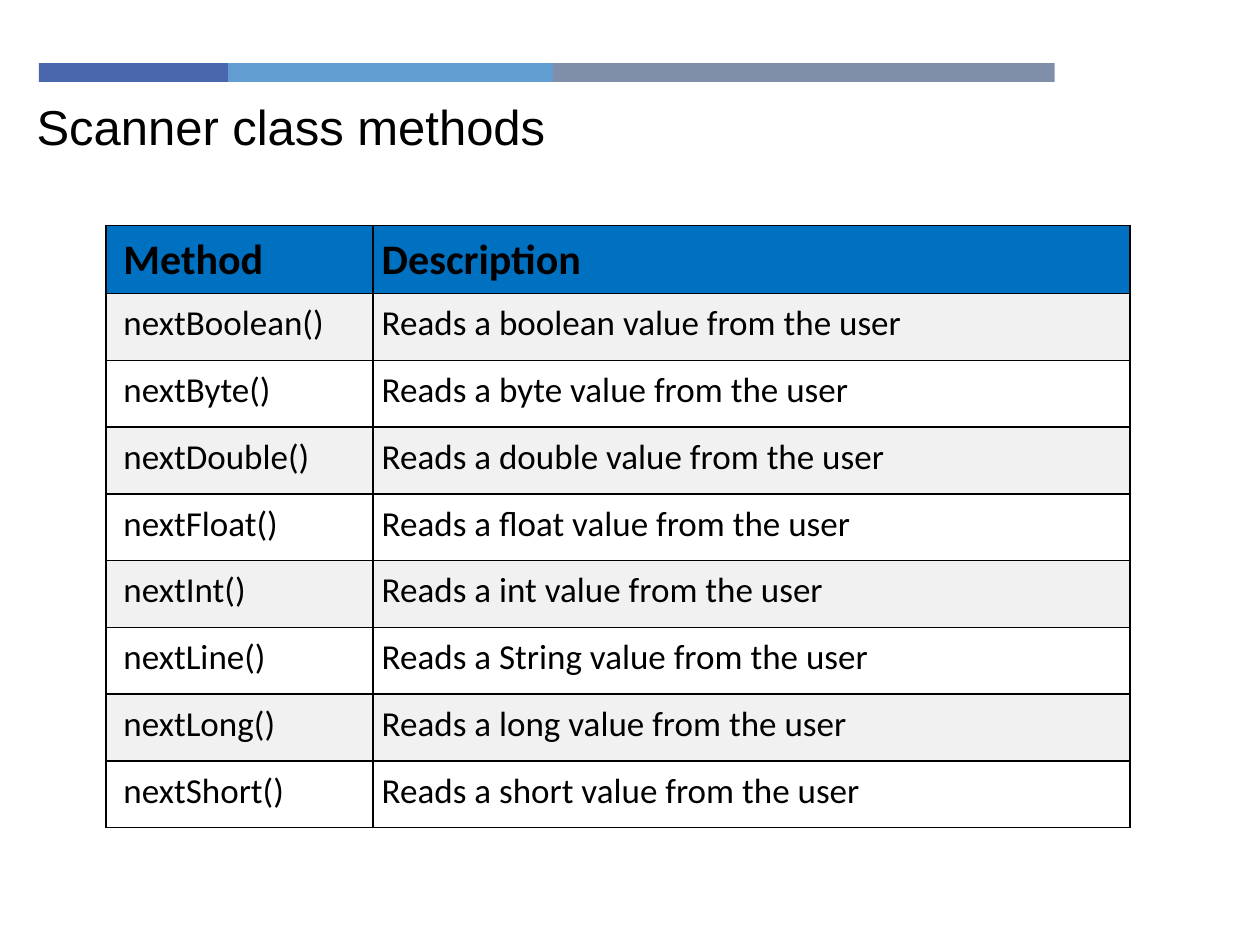
from lxml import etree
from pptx import Presentation
from pptx import util as u
from pptx.dml.color import RGBColor
from pptx.enum import shapes, text
from pptx.oxml import ns

COLORS = {
    "indigo": "4A66AC",
    "sky": "629DD1",
    "slate": "7F8FA9",
    "header": "0070C0",
    "band": "F1F1F1",
    "white": "FFFFFF",
    "black": "000000",
}
TYPES = ["boolean", "byte", "double", "float", "int", "String", "long", "short"]
METHOD_NAMES = {"String": "Line"}


def rgb(name):
    return RGBColor.from_string(COLORS[name])


def add_run(p, content, size, font, bold=False):
    r = p.add_run()
    r.text = content
    r.font.size = u.Pt(size)
    r.font.name = font
    r.font.bold = bold
    r.font.color.rgb = rgb("black")


def add_accent_bar(s, left, top, height):
    for width, color in [(1.5, "indigo"), (2.58, "sky"), (3.98, "slate")]:
        sp = s.shapes.add_shape(
            shapes.MSO_SHAPE.RECTANGLE,
            u.Inches(left), u.Inches(top), u.Inches(width), u.Inches(height))
        sp.shadow.inherit = False
        sp.fill.solid()
        sp.fill.fore_color.rgb = rgb(color)
        sp.line.fill.background()
        left += width


def add_title(s, left, top, width, height, content):
    sp = s.shapes.add_textbox(
        u.Inches(left), u.Inches(top), u.Inches(width), u.Inches(height))
    tf = sp.text_frame
    tf.word_wrap = True
    tf.auto_size = text.MSO_AUTO_SIZE.SHAPE_TO_FIT_TEXT
    tf.margin_left = tf.margin_top = tf.margin_right = tf.margin_bottom = 0
    add_run(tf.paragraphs[0], content, 28, "Arial")


def add_borders(cell, color, points):
    tc_pr = cell._tc.get_or_add_tcPr()
    for i, side in enumerate(["lnL", "lnR", "lnT", "lnB"]):
        ln = etree.Element(ns.qn(f"a:{side}"), w=str(u.Pt(points)))
        fill = etree.SubElement(ln, ns.qn("a:solidFill"))
        etree.SubElement(fill, ns.qn("a:srgbClr"), val=COLORS[color])
        tc_pr.insert(i, ln)


def fill_cell(cell, content, left_margin, color, size, bold):
    cell.margin_left = u.Inches(left_margin)
    cell.margin_top = cell.margin_right = cell.margin_bottom = u.Inches(0.07)
    cell.fill.solid()
    cell.fill.fore_color.rgb = rgb(color)
    add_borders(cell, "black", 1)
    add_run(cell.text_frame.paragraphs[0], content, size, "Calibri", bold)


def add_method_table(s, left, top, col_widths, row_height, rows):
    table = s.shapes.add_table(
        len(rows), len(col_widths), u.Inches(left), u.Inches(top),
        u.Inches(sum(col_widths)), u.Inches(row_height * len(rows))).table
    for column, width in zip(table.columns, col_widths):
        column.width = u.Inches(width)
    for i, row in enumerate(rows):
        table.rows[i].height = u.Inches(row_height)
        header = i == 0
        color = "header" if header else "band" if i % 2 else "white"
        for j, content in enumerate(row):
            fill_cell(table.cell(i, j), content, 0.07 if j else 0.14,
                      color, 24 if header else 20, header)


def method_row(kind):
    name = METHOD_NAMES.get(kind, kind.capitalize())
    return f"next{name}()", f"Reads a\u00a0{kind}\u00a0value from the user"


def build_slide(prs):
    s = prs.slides.add_slide(prs.slide_layouts[6])
    add_accent_bar(s, 0.31, 0.5, 0.15)
    add_title(s, 0.29, 0.77, 5.64, 0.47, "Scanner class methods")
    rows = [("Method", "Description")] + [method_row(kind) for kind in TYPES]
    add_method_table(s, 0.84, 1.79, [2.12, 6.01], 0.53, rows)


prs = Presentation()
prs.slide_width = u.Inches(10)
prs.slide_height = u.Inches(7.5)
build_slide(prs)
prs.save("out.pptx")
